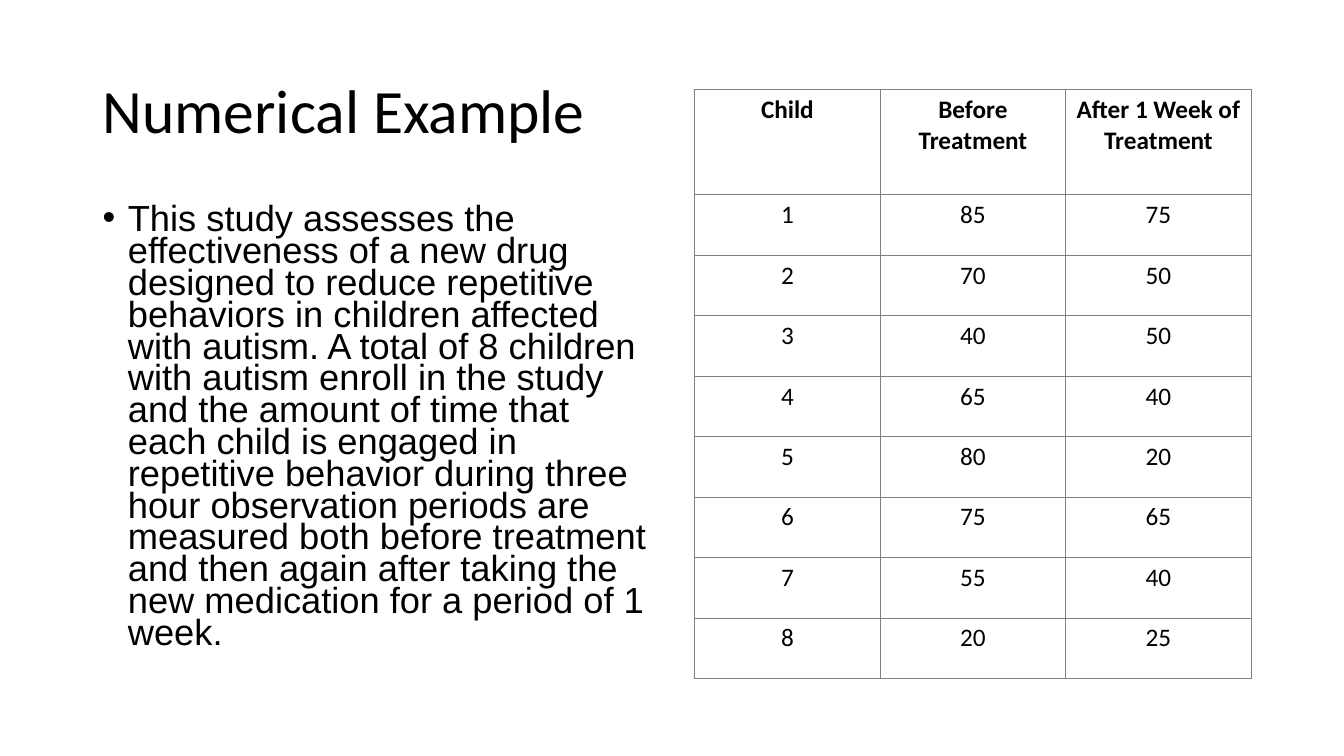
from dataclasses import dataclass

from lxml import etree
from pptx import Presentation
from pptx.dml.color import RGBColor
from pptx.enum.text import MSO_ANCHOR, PP_ALIGN
from pptx.oxml.ns import qn
from pptx.slide import Slide
from pptx.table import _Cell
from pptx.text.text import _Paragraph
from pptx.util import Emu, Pt

TOP, MIDDLE = MSO_ANCHOR.TOP, MSO_ANCHOR.MIDDLE
CENTER = PP_ALIGN.CENTER
PX = 9144  # 100 px to the inch
COLORS = {"text": "000000", "paper": "FFFFFF", "border": "808080"}


@dataclass(frozen=True)
class TextBlock:
    text: str
    left: int
    top: int
    width: int
    height: int
    font: str
    size: float
    line_spacing: float
    anchor: MSO_ANCHOR = TOP
    space_before: int = 0
    bullet_indent: int = 0


BLOCKS = [
    TextBlock("Numerical Example", 92, 40, 1150, 145, "Calibri", 44, 0.9, MIDDLE),
    TextBlock(
        "This study assesses the effectiveness of a new drug designed to reduce "
        "repetitive behaviors in children affected with autism. A total of 8 children "
        "with autism enroll in the study and the amount of time that each child is "
        "engaged in repetitive behavior during three hour observation periods are "
        "measured both before treatment and then again after taking the new "
        "medication for a period of 1 week.",
        92, 200, 567, 476, "Arial", 25.9, 0.73, space_before=10, bullet_indent=25,
    ),
]

HEADERS = ["Child", "Before Treatment", "After 1 Week of Treatment"]
BEFORE = [85, 70, 40, 65, 80, 75, 55, 20]
AFTER = [75, 50, 50, 40, 20, 65, 40, 25]
TABLE_LEFT, TABLE_TOP = 689, 89
COLUMN_WIDTH, HEADER_HEIGHT, ROW_HEIGHT = 184, 104, 60


def px(length: int) -> Emu:
    return Emu(length * PX)


def add_span(para: _Paragraph, text: str, font: str, size: float, bold: bool = False) -> None:
    span = para.add_run()
    span.text = text
    span.font.name = font
    span.font.size = Pt(size)
    span.font.bold = bold
    span.font.color.rgb = RGBColor.from_string(COLORS["text"])


def add_bullet(para: _Paragraph, indent: int) -> None:
    properties = para._p.get_or_add_pPr()
    properties.set("marL", str(px(indent)))
    properties.set("indent", str(-px(indent)))
    etree.SubElement(properties, qn("a:buFont"), typeface="Arial")
    etree.SubElement(properties, qn("a:buChar"), char="•")


def add_text_block(page: Slide, block: TextBlock) -> None:
    box = page.shapes.add_textbox(
        px(block.left), px(block.top), px(block.width), px(block.height)
    )
    frame = box.text_frame
    frame.word_wrap = True
    frame.vertical_anchor = block.anchor
    para = frame.paragraphs[0]
    para.line_spacing = block.line_spacing
    para.space_before = Pt(block.space_before)
    if block.bullet_indent:
        add_bullet(para, block.bullet_indent)
    add_span(para, block.text, block.font, block.size)


def style_cell(cell: _Cell) -> None:
    """Give the cell thin borders on all sides and a plain fill."""
    properties = cell._tc.get_or_add_tcPr()
    for side in ("lnL", "lnR", "lnT", "lnB"):
        line = etree.SubElement(properties, qn(f"a:{side}"), w=str(Pt(0.5)))
        fill = etree.SubElement(line, qn("a:solidFill"))
        etree.SubElement(fill, qn("a:srgbClr"), val=COLORS["border"])
    cell.fill.solid()
    cell.fill.fore_color.rgb = RGBColor.from_string(COLORS["paper"])


def add_results_table(page: Slide) -> None:
    results = zip(range(1, len(BEFORE) + 1), BEFORE, AFTER)
    rows = [HEADERS, *results]
    heights = [HEADER_HEIGHT] + [ROW_HEIGHT] * len(BEFORE)
    table = page.shapes.add_table(
        len(rows), len(HEADERS), px(TABLE_LEFT), px(TABLE_TOP),
        px(COLUMN_WIDTH * len(HEADERS)), px(sum(heights)),
    ).table
    table.horz_banding = False
    for column in table.columns:
        column.width = px(COLUMN_WIDTH)
    for row_index, (values, height) in enumerate(zip(rows, heights)):
        table.rows[row_index].height = px(height)
        for column_index, value in enumerate(values):
            cell = table.cell(row_index, column_index)
            style_cell(cell)
            para = cell.text_frame.paragraphs[0]
            para.alignment = CENTER
            add_span(para, str(value), "Calibri", 18, bold=row_index == 0)


def main() -> None:
    deck = Presentation()
    deck.slide_width, deck.slide_height = px(1333), px(750)
    page = deck.slides.add_slide(deck.slide_layouts[6])
    for block in BLOCKS:
        add_text_block(page, block)
    add_results_table(page)
    deck.save("out.pptx")


if __name__ == "__main__":
    main()
